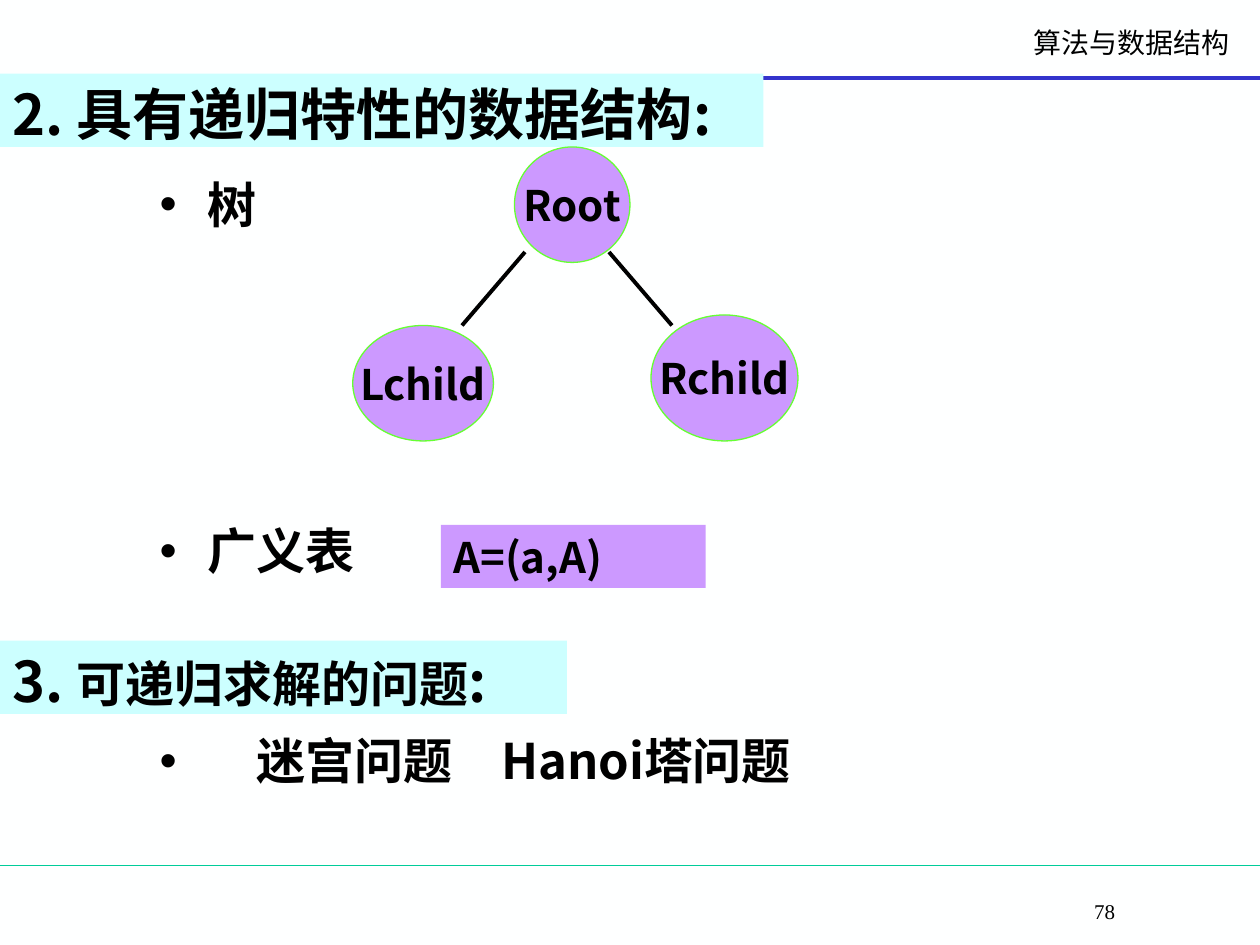
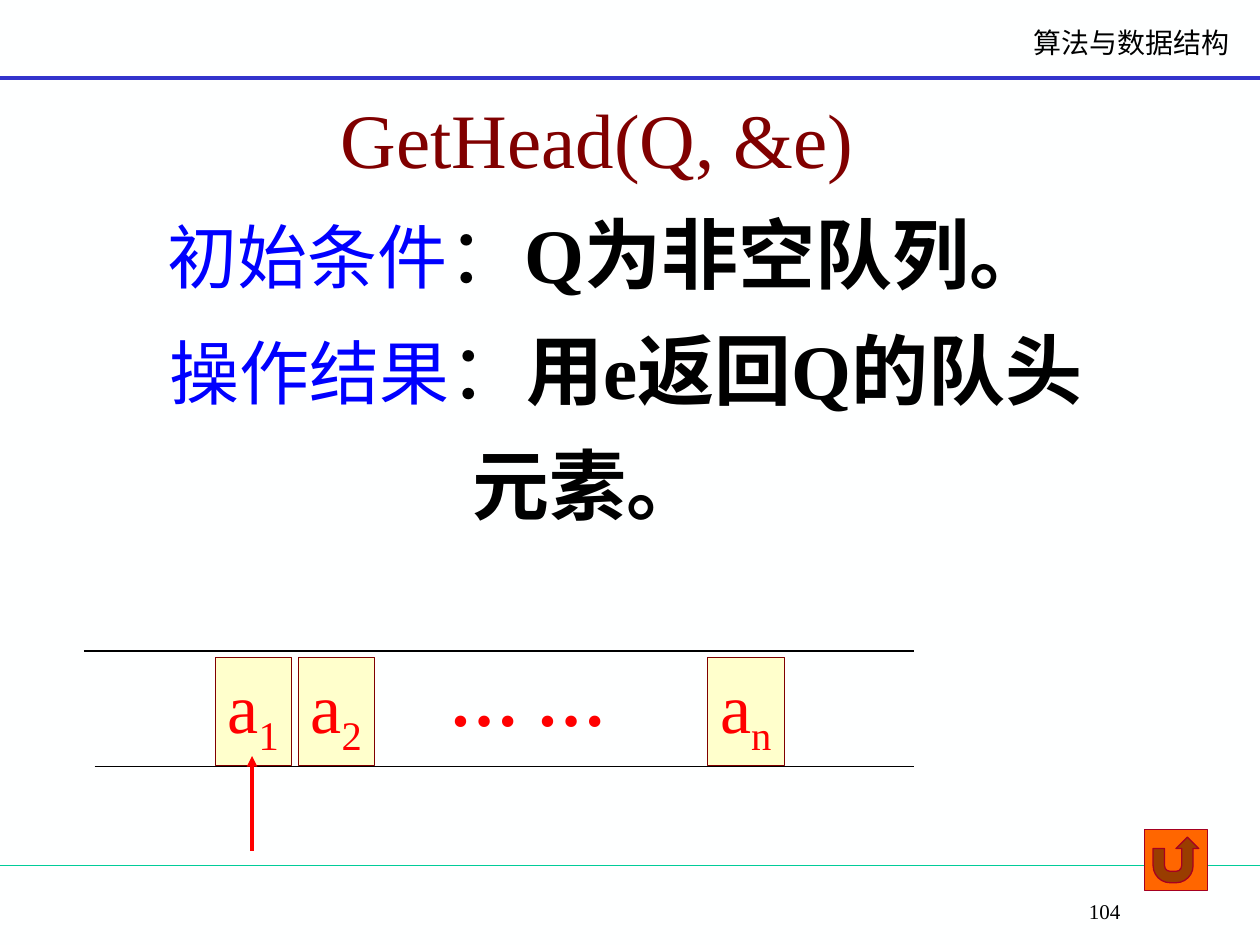
from lxml import etree
from pptx import Presentation
from pptx.dml.color import RGBColor
from pptx.enum.shapes import MSO_CONNECTOR, MSO_SHAPE
from pptx.enum.text import MSO_ANCHOR, MSO_AUTO_SIZE, PP_ALIGN
from pptx.oxml.ns import qn
from pptx.util import Inches, Pt

LINE = MSO_CONNECTOR.STRAIGHT
RECT, OVAL = MSO_SHAPE.RECTANGLE, MSO_SHAPE.OVAL
RETURN = MSO_SHAPE.ACTION_BUTTON_RETURN
TOP, MIDDLE = MSO_ANCHOR.TOP, MSO_ANCHOR.MIDDLE
LEFT, CENTER = PP_ALIGN.LEFT, PP_ALIGN.CENTER
FIXED = MSO_AUTO_SIZE.NONE

COLS, ROWS = 120, 90
SANS, SERIF = "Noto Sans CJK SC", "Times New Roman"
PAPER, INK, BLUE, RED = "FEFFFF", "000000", "0000FF", "FF0000"
MAROON, CREAM, BAND, LILAC, LIME = "800000", "FFFFCC", "CCFFFF", "CC99FF", "66FF33"
NAVY, GREEN, ORANGE, WINE = "3333CC", "00CC99", "FF6600", "A50021"


def grid(*cells):
    """Turn cells of a 120 by 90 grid into lengths."""
    return [Inches(cell / 12) for cell in cells]


def rgb(code):
    return RGBColor.from_string(code)


def paint(shape, fill=None, edge=None):
    shape.shadow.inherit = False
    if fill:
        shape.fill.solid()
        shape.fill.fore_color.rgb = rgb(fill)
    if edge:
        shape.line.color.rgb = rgb(edge)
        shape.line.width = Pt(0.75)
    else:
        shape.line.fill.background()


def style(font, size=None, color=None, bold=None, face=None):
    if size:
        font.size = Pt(size)
    if color:
        font.color.rgb = rgb(color)
    if bold is not None:
        font.bold = bold
    if face:
        font.name = face
        if face == SANS:
            etree.SubElement(font._rPr, qn("a:ea"), typeface=face)


def frame(shape, wrap=True, anchor=TOP):
    text = shape.text_frame
    text.auto_size, text.word_wrap, text.vertical_anchor = FIXED, wrap, anchor
    return text


def write(para, runs, align=LEFT, **look):
    """Fill a paragraph with (text, own look) runs over a shared look."""
    para.alignment = align
    para.space_before = Pt(0)
    style(para.font, **look)
    for words, own in runs:
        run = para.add_run()
        run.text = words
        style(run.font, **own)


def place(shape, box):
    shape.left, shape.top, shape.width, shape.height = grid(*box)


def box(slide, kind, cells, fill, edge=None):
    shape = slide.shapes.add_shape(kind, *grid(*cells))
    paint(shape, fill, edge)
    return shape


def label(slide, cells, words, align=LEFT, wrap=True, **look):
    shape = slide.shapes.add_textbox(*grid(*cells))
    write(frame(shape, wrap).paragraphs[0], [(words, {})], align, **look)
    return shape


def rule(slide, ends, color, width=0.75, arrow=False):
    line = slide.shapes.add_connector(LINE, *grid(*ends))
    line.line.color.rgb = rgb(color)
    line.line.width = Pt(width)
    props = line._element.spPr
    if arrow:
        etree.SubElement(props.find(qn("a:ln")), qn("a:tailEnd"), type="triangle")
    etree.SubElement(props, qn("a:effectLst"))
    return line


def shade(shape):
    """Give the text a small green shadow."""
    for run in shape.text_frame.paragraphs[0].runs:
        glow = etree.SubElement(run.font._rPr, qn("a:effectLst"))
        drop = etree.SubElement(glow, qn("a:outerShdw"), dist="17961", dir="2700000")
        etree.SubElement(drop, qn("a:srgbClr"), val=GREEN)


def brand(deck, slide):
    """Build the shared lines and header, then hand them to the master."""
    master = deck.slide_master
    master.background.fill.solid()
    master.background.fill.fore_color.rgb = rgb(PAPER)
    head = label(slide, (97.3, 1.8, 21.4, 4.4), "算法与数据结构", wrap=False,
                 size=16, color=INK, face=SERIF)
    shade(head)
    parts = [rule(slide, (0, 82.4, COLS, 82.4), GREEN),
             rule(slide, (0, 7.4, COLS, 7.4), NAVY, 2.25), head]
    for part in parts:
        master.shapes._spTree.append(part._element)


def number(slide, words):
    shade(label(slide, (97.1, 85, 16.2, 3.6), words, CENTER,
                size=12, color=INK, face=SERIF))


def band(shape, cells, runs):
    place(shape, cells)
    paint(shape, BAND)
    write(frame(shape).paragraphs[0], runs, size=32, color=INK, bold=True, face=SANS)


def bullet(shape, cells, words, indent=0.38):
    place(shape, cells)
    para = frame(shape).paragraphs[0]
    props = para._p.get_or_add_pPr()
    props.set("marL", str(Inches(indent)))
    props.set("indent", str(-Inches(indent)))
    etree.SubElement(props, qn("a:buChar"), char="•")
    write(para, [(words, {})], size=28, color=INK, bold=True, face=SANS)


def node(slide, cells, words):
    shape = box(slide, OVAL, cells, LILAC, LIME)
    write(frame(shape, False, MIDDLE).paragraphs[0], [(words, {})], CENTER,
          size=24, color=INK, bold=True, face=SANS)


def item(slide, col, mark):
    shape = box(slide, RECT, (col, 62.6, 7.3, 10.3), CREAM, MAROON)
    para = frame(shape, False).paragraphs[0]
    write(para, [("a", {}), (mark, {})], size=40, color=RED, face=SERIF)
    para.runs[1].font._rPr.set("baseline", "-25000")


def recursion(slide):
    title, problem, tree, spare, glist = slide.placeholders
    band(title, (0, 7, 72.7, 7), [("2. 具有递归特性的数据结构:", {})])
    band(problem, (0, 61, 54, 7),
         [("3. ", {}), ("可递归求解的问题", {"size": 28}), (":", {})])
    bullet(tree, (14, 16, 36, 10), "树")
    bullet(glist, (14, 49, 36, 10), "广义表")
    bullet(spare, (14, 69, 93.2, 10), "迷宫问题\u3000Hanoi塔问题".replace("\u3000", "　"), 0.77)

    for cells, words in (((49, 14, 11, 11), "Root"),
                         ((33.6, 31, 13.4, 11), "Lchild"),
                         ((62, 30, 14, 12), "Rchild")):
        node(slide, cells, words)
    for side in (-1, 1):
        rule(slide, (54 + 4 * side, 24, 54 + 10 * side, 31), INK, 2.25)

    sample = box(slide, RECT, (42, 50, 25.2, 6), LILAC)
    write(frame(sample).paragraphs[0], [("A=(a,A)", {})],
          size=24, color=INK, bold=True, face=SANS)
    number(slide, "78")


def queue(slide):
    title = slide.shapes.title
    place(title, (5, 21, 102, 15))
    text = frame(title, anchor=MIDDLE)
    term, strong = {"size": 40, "color": BLUE}, {"bold": True}
    lines = [(0.15, [("GetHead(Q, &e)", {"color": MAROON})]),
             (0.31, [("初始条件", term), ("：", {}), ("Q为非空队列。", strong)]),
             (0.61, [("操作结果", term), ("：", {}), ("用e返回Q的队头元素。", strong)])]
    for row, (indent, runs) in enumerate(lines):
        para = text.add_paragraph() if row else text.paragraphs[0]
        para.line_spacing = 1.25
        para._p.get_or_add_pPr().set("indent", str(Inches(indent)))
        write(para, runs, CENTER, size=44, color=INK, face=SERIF)

    rule(slide, (8, 62, 87, 62), INK)
    rule(slide, (9, 73, 87, 73), INK)
    for col, mark in ((20.5, "1"), (28.4, "2"), (67.4, "n")):
        item(slide, col, mark)
    rule(slide, (24, 81, 24, 72), RED, 2, arrow=True)
    label(slide, (41.6, 61.9, 17.4, 9.2), "… …", wrap=False,
          size=40, color=RED, bold=True, face=SERIF)
    box(slide, RETURN, (109, 79, 6, 5.8), ORANGE, WINE)
    number(slide, "104")


def main():
    deck = Presentation()
    deck.slide_width, deck.slide_height = grid(COLS, ROWS)
    first = deck.slides.add_slide(deck.slide_layouts.get_by_name("Comparison"))
    brand(deck, first)
    recursion(first)
    queue(deck.slides.add_slide(deck.slide_layouts.get_by_name("Title Only")))
    deck.save("out.pptx")


if __name__ == "__main__":
    main()
